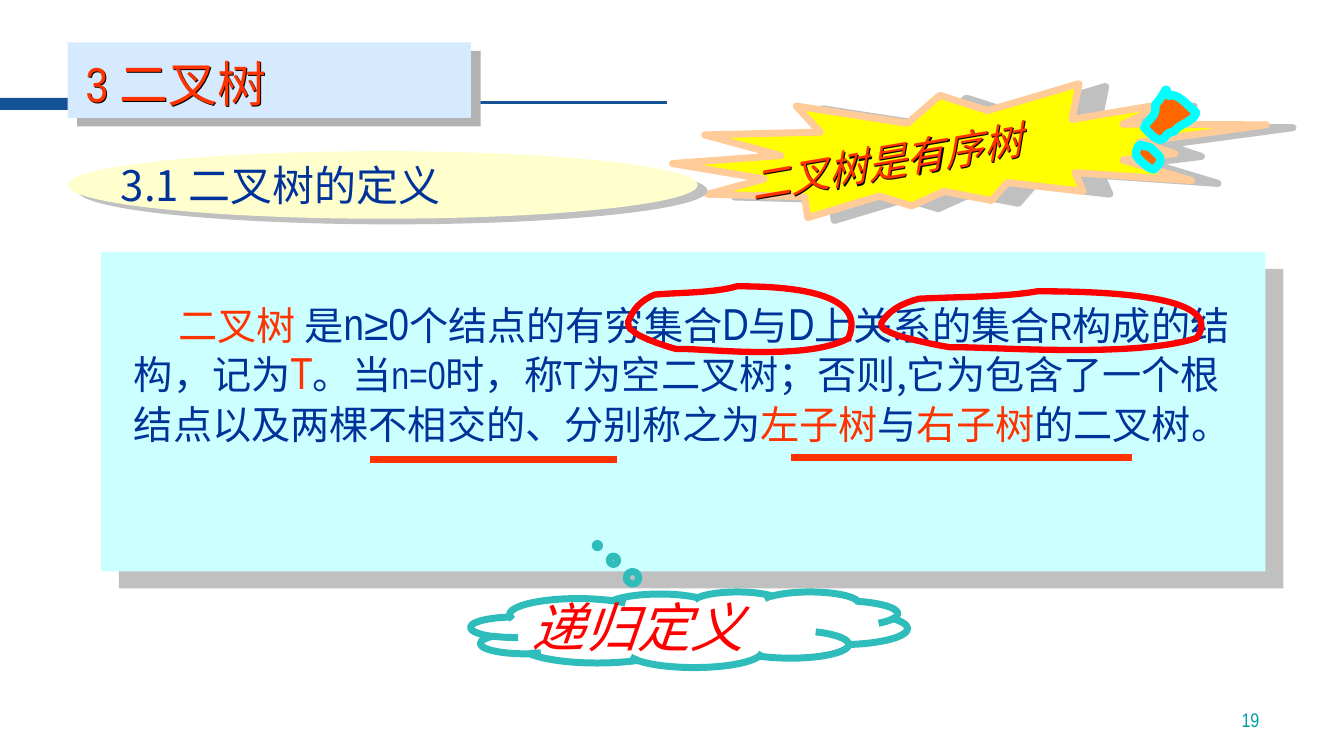
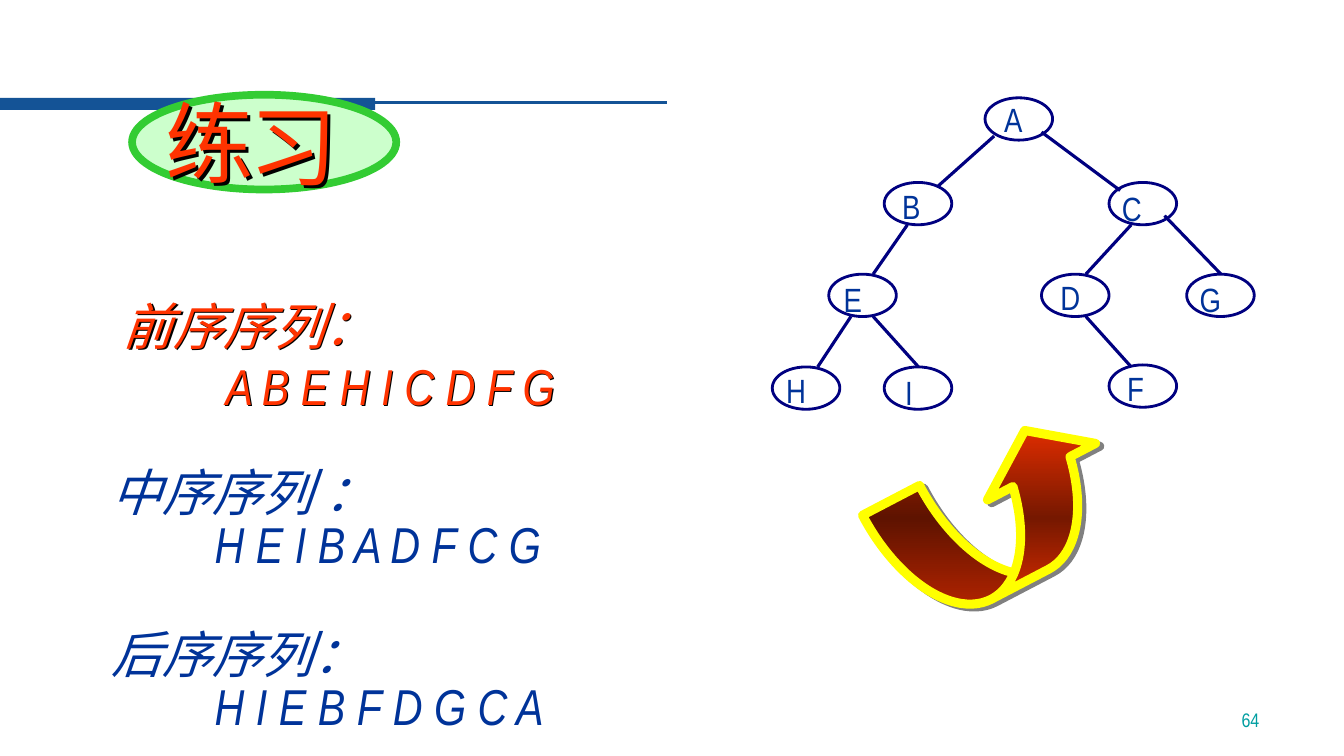
from pptx import Presentation
from pptx.dml.color import RGBColor
from pptx.enum.shapes import MSO_CONNECTOR as CONN, MSO_SHAPE as SHAPE
from pptx.enum.text import MSO_ANCHOR as ANCHOR, PP_ALIGN as ALIGN
from pptx.oxml import parse_xml
from pptx.oxml.ns import nsdecls, qn
from pptx.util import Inches, Pt
from lxml.etree import SubElement

COLORS = {
    "band": "145396", "ink": "003399", "accent": "FF3300", "red": "FF0000",
    "number": "009EA1", "panel": "CCFFFF", "cloud": "2EBDBA", "yellow": "FFFF00",
    "peach": "FFCC99", "orange": "FF6600", "cyan": "00FFFF", "cream": "FFFFCD",
    "title": "D5EAFF", "node": "000080", "mint": "CCFFCC", "green": "33CC33",
    "dark_red": "761800", "shade": "C0C0C0", "title_shade": "B2B2B2",
    "arrow_shade": "808080", "black": "000000",
}
NARROW = "Arial Narrow"
CJK = "Noto Sans CJK SC"
TEXT_SHADE = ("black", 1.2, 45)

RING = [(0.45, 0), (0.35, 0.09), (0.22, 0.08), (0.11, 0.11),
        (0.05, 0.19), (0.02, 0.31), (0, 0.47),
        (0, 0.51), (0, 0.56), (0.02, 0.59),
        (0.04, 0.67), (0.16, 0.8), (0.2, 0.83),
        (0.29, 0.81), (0.73, 1), (0.91, 0.69),
        (1, 0.03), (0.61, 0), (0.45, 0)]
MARK_STROKE = [(0.3, 0.1), (0.46, -0.02), (0.75, 0.16), (1, 0.24),
               (1.02, 0.33), (0.93, 0.41), (0.86, 0.49),
               (0.82, 0.53), (0.75, 0.59), (0.75, 0.59),
               (0.71, 0.63), (0.68, 0.69), (0.66, 0.73),
               (0.61, 0.75), (0.55, 0.8), (0.55, 0.8),
               (0.5, 0.86), (0.52, 0.94), (0.43, 0.96),
               (0.32, 1), (0.11, 0.88), (0, 0.84),
               (0, 0.67), (0.21, 0.55), (0.07, 0.35),
               (0.25, 0.02), (0.11, -0.1), (0.3, 0.1)]
MARK_DOT = [(0.5, 0), (-0.04, 0.05), (0.04, -0.05), (0.04, 0.45),
            (0.04, 0.5), (0.04, 0.55), (0.08, 0.6),
            (0.15, 0.7), (0.42, 0.85), (0.42, 0.85),
            (0.54, 0.9), (0.69, 1), (0.85, 1),
            (0.88, 1), (0.92, 0.95), (0.92, 0.9),
            (1, 0.7), (1.08, 0.5), (0.96, 0.3),
            (0.92, 0.25), (0.5, 0), (0.5, 0)]

DEFINITION = [
    ("二叉树 ", 28, CJK, "accent"), ("是", 28, CJK, "ink"), ("n≥0", 32, NARROW, "ink"),
    ("个结点的有穷集合", 28, CJK, "ink"), ("D", 32, NARROW, "ink"), ("与", 28, CJK, "ink"),
    ("D", 32, NARROW, "ink"), ("上关系的集合", 28, CJK, "ink"), ("R", 28, NARROW, "ink"),
    ("构成的结构，记为", 28, CJK, "ink"), ("T", 32, NARROW, "accent"),
    ("。当", 28, CJK, "ink"), ("n=0", 28, NARROW, "ink"), ("时，称", 28, CJK, "ink"),
    ("T", 28, NARROW, "ink"),
    ("为空二叉树；否则,它为包含了一个根结点以及两棵不相交的、分别称之为", 28, CJK, "ink"),
    ("左子树", 28, CJK, "accent"), ("与", 28, CJK, "ink"),
    ("右子树", 28, CJK, "accent"), ("的二叉树。", 28, CJK, "ink"),
]

NODES = {
    "A": (2.11, 0, 0.09, -0.04), "B": (1.11, 0.84, 0.08, -0.02),
    "C": (3.34, 0.84, 0.03, 0), "E": (0.56, 1.75, 0.05, 0),
    "H": (0, 2.67, 0.04, -0.02), "I": (1.11, 2.67, 0.11, 0),
    "D": (2.67, 1.75, 0.09, -0.02), "G": (4.11, 1.75, 0.03, 0),
    "F": (3.34, 2.65, 0.08, -0.02),
}
EDGES = [
    ("A", 0.09, 0.38, "B", 0.53, 0.04), ("A", 0.56, 0.34, "C", 0.11, 0.08),
    ("B", 0.23, 0.42, "E", 0.44, 0), ("C", 0.22, 0.42, "D", 0.44, 0),
    ("C", 0.55, 0.33, "G", 0.34, 0), ("E", 0.22, 0.42, "H", 0.45, 0),
    ("E", 0.44, 0.42, "I", 0.34, 0), ("D", 0.44, 0.42, "F", 0.22, 0.02),
]


def rgb(name):
    return RGBColor.from_string(COLORS[name])


def set_all(obj, values):
    for key, value in values.items():
        setattr(obj, key, value)


def add_shadow(sp, shade):
    sp.shadow.inherit = False
    if shade:
        name, dist, angle = shade
        effects = sp._element.spPr.find(qn("a:effectLst"))
        outer = SubElement(effects, qn("a:outerShdw"), blurRad="0", dist=str(Pt(dist)),
                           dir=str(angle * 60000), algn="ctr", rotWithShape="0")
        SubElement(outer, qn("a:srgbClr"), val=COLORS[name])


def paint(sp, fill=None, line=None, shade=None):
    if fill:
        sp.fill.solid()
        sp.fill.fore_color.rgb = rgb(fill)
    else:
        sp.fill.background()
    if line:
        sp.line.color.rgb = rgb(line[0])
        sp.line.width = Pt(line[1])
    else:
        sp.line.fill.background()
    add_shadow(sp, shade)
    return sp


def add_box(s, kind, box, adjust=(), **look):
    sp = s.shapes.add_shape(kind, *map(Inches, box))
    for i, value in enumerate(adjust):
        sp.adjustments[i] = value
    return paint(sp, **look)


def add_line(s, x1, y1, x2, y2, color, width):
    c = s.shapes.add_connector(CONN.STRAIGHT, *map(Inches, (x1, y1, x2, y2)))
    c.line.color.rgb = rgb(color)
    c.line.width = Pt(width)
    SubElement(c._element.spPr, qn("a:effectLst"))


def add_curve(s, box, points, rotation=0, **look):
    x, y, w, h = box
    pts = [(Inches(x + px * w), Inches(y + py * h)) for px, py in points]
    builder = s.shapes.build_freeform(*pts[0], scale=1)
    builder.add_line_segments(pts[1:], close=True)
    sp = paint(builder.convert_to_shape(), **look)
    sp.rotation = rotation
    segments = list(sp._element.iter(qn("a:lnTo")))[:len(pts) - 1]
    for first, *others in (segments[i:i + 3] for i in range(0, len(segments), 3)):
        first.tag = qn("a:cubicBezTo")
        for segment in others:
            first.append(segment[0])
            segment.getparent().remove(segment)


def add_run(p, text, size, font, color, italic=False):
    r = p.add_run()
    r.text = text
    set_all(r.font, {"size": Pt(size), "name": font, "italic": italic})
    r.font.color.rgb = rgb(color)
    SubElement(r._r.get_or_add_rPr(), qn("a:ea"), typeface=CJK)


def add_text(s, box, paragraphs, anchor=ANCHOR.MIDDLE, wrap=True, shade=None, indents=(), **fmt):
    sp = s.shapes.add_textbox(*map(Inches, box))
    tf = sp.text_frame
    set_all(tf, {"word_wrap": wrap, "vertical_anchor": anchor})
    for i, runs in enumerate(paragraphs):
        p = tf.paragraphs[0] if i == 0 else tf.add_paragraph()
        set_all(p, fmt)
        if indents:
            p._p.get_or_add_pPr().set("indent", str(Inches(indents[i])))
        for run in runs:
            add_run(p, *run)
    add_shadow(sp, shade)
    return sp


def new_slide(prs, number):
    s = prs.slides.add_slide(prs.slide_layouts[6])
    add_box(s, SHAPE.RECTANGLE, (0, 0.97, 3.72, 0.12), fill="band")
    add_line(s, 3.68, 1.02, 6.62, 1.02, "band", 2.25)
    add_text(s, (9.81, 6.81, 2.78, 0.5), [[(number, 14, NARROW, "number")]],
             anchor=ANCHOR.BOTTOM, alignment=ALIGN.RIGHT)
    return s


def definition_panel(s, x, y):
    add_box(s, SHAPE.RECTANGLE, (x, y, 11.55, 3.17), fill="panel", shade=("shade", 17.7, 43))
    add_text(s, (x + 0.23, y + 0.43, 11.2, 2.12), [DEFINITION], anchor=ANCHOR.TOP,
             indents=[0.44], line_spacing=Pt(35))
    for box in ((x + 5.23, y + 0.34, 2.4, 0.75), (x + 7.74, y + 0.39, 3.44, 0.67)):
        add_curve(s, box, RING, line=("red", 4.5))
    for left, right, drop in ((2.67, 5.12, 2.06), (6.85, 10.23, 2.04)):
        add_line(s, x + left, y + drop, x + right, y + drop, "accent", 4.75)


def cloud_note(s, x, y):
    add_box(s, SHAPE.CLOUD_CALLOUT, (x, y, 4.33, 0.75), (-0.21, -1.11), line=("cloud", 5))
    add_text(s, (x + 0.5, y - 0.02, 3.56, 0.73), [[("递归定义", 38, NARROW, "red", True)]])


def burst_note(s, x, y):
    add_box(s, SHAPE.EXPLOSION2, (x, y, 5.89, 1.33), fill="yellow", line=("peach", 5),
            shade=("shade", 19.1, 6))
    sp = add_text(s, (x + 0.65, y + 0.36, 4.43, 0.57),
                  [[("二叉树是有序树", 28, NARROW, "accent", True)]], shade=TEXT_SHADE)
    sp.rotation = 350.3
    for box, points in (((x + 4.73, y + 0.09, 0.44, 0.51), MARK_STROKE),
                        ((x + 4.58, y + 0.63, 0.26, 0.2), MARK_DOT)):
        add_curve(s, box, points, rotation=18.4, fill="orange", line=("cyan", 6))


def headings(s, x, y):
    add_box(s, SHAPE.OVAL, (x, y + 1.08, 6.25, 0.67), fill="cream", shade=("shade", 8.1, 30))
    add_text(s, (x + 0.43, y + 1.11, 6.3, 0.6), [[("3.1 二叉树的定义", 30, CJK, "ink")]])
    add_box(s, SHAPE.RECTANGLE, (x, y, 4, 0.75), fill="title", shade=("title_shade", 9.2, 41))
    add_text(s, (x + 0.08, y + 0.05, 4.25, 0.7),
             [[("3 ", 35, NARROW, "accent"), ("二叉树", 35, CJK, "accent")]], shade=TEXT_SHADE)


def orders(s, x, y):
    def pair(name, letters, color):
        return [[(text, 36, NARROW, color, True)] for text in (name, letters)]

    add_text(s, (x + 0.11, y, 7.09, 1.31), pair("前序序列：", "A B E H I C D F G", "accent"),
             anchor=ANCHOR.TOP, shade=TEXT_SHADE, indents=[0, 1.02], line_spacing=Pt(43))
    sp = add_text(s, (x, y + 1.72, 6.78, 2.83),
                  pair("中序序列 ：", "H E I B A D F C G", "ink")
                  + pair("后序序列：", "H I E B F D G C A", "ink"),
                  anchor=ANCHOR.TOP, indents=[0, 1.02] * 2, line_spacing=Pt(37.5))
    sp.text_frame.paragraphs[2].space_before = Pt(41)


def tree(s, x, y):
    for nx, ny, _, _ in NODES.values():
        add_box(s, SHAPE.OVAL, (x + nx, y + ny, 0.67, 0.42), line=("node", 2))
    for parent, px, py, child, cx, cy in EDGES:
        (ax, ay), (bx, by) = NODES[parent][:2], NODES[child][:2]
        add_line(s, x + ax + px, y + ay + py, x + bx + cx, y + by + cy, "node", 2.25)
    for letter, (nx, ny, dx, dy) in NODES.items():
        add_text(s, (x + nx + dx, y + ny + dy, 0.4, 0.51), [[(letter, 24, NARROW, "ink")]],
                 anchor=ANCHOR.TOP, wrap=False)


def turning_arrow(s, x, y):
    sp = add_box(s, SHAPE.CURVED_RIGHT_ARROW, (x, y, 1.33, 2.42), (0.48, 0.97, 0.33),
                 fill="accent", line=("yellow", 6.5), shade=("arrow_shade", 3.6, 34))
    sp.rotation = 242.4
    stops = "".join(f'<a:gs pos="{pos}"><a:srgbClr val="{COLORS[name]}"/></a:gs>'
                    for pos, name in ((0, "accent"), (50000, "dark_red"), (100000, "accent")))
    spPr = sp._element.spPr
    spPr.replace(spPr.find(qn("a:solidFill")), parse_xml(
        f'<a:gradFill {nsdecls("a")} rotWithShape="0"><a:gsLst>{stops}</a:gsLst>'
        '<a:lin ang="5400000" scaled="1"/></a:gradFill>'))


def exercise_badge(s, x, y):
    add_box(s, SHAPE.OVAL, (x, y, 2.62, 0.94), fill="mint", line=("green", 5.5))
    for char, dx, dy in (("练", 0.23, -0.12), ("习", 1.07, -0.09)):
        add_text(s, (x + dx, y + dy, 1.09, 1.16), [[(char, 63, CJK, "accent")]],
                 wrap=False, shade=("black", 3, 45))


def definition_slide(prs):
    s = new_slide(prs, "19")
    definition_panel(s, 1, 2.5)
    cloud_note(s, 4.67, 5.87)
    burst_note(s, 6.67, 0.83)
    headings(s, 0.67, 0.42)


def exercise_slide(prs):
    s = new_slide(prs, "64")
    orders(s, 1.01, 2.88)
    tree(s, 7.66, 0.97)
    turning_arrow(s, 9.27, 3.93)
    exercise_badge(s, 1.31, 0.94)


def main():
    prs = Presentation()
    set_all(prs, {"slide_width": Inches(13.33), "slide_height": Inches(7.5)})
    definition_slide(prs)
    exercise_slide(prs)
    prs.save("out.pptx")


if __name__ == "__main__":
    main()
